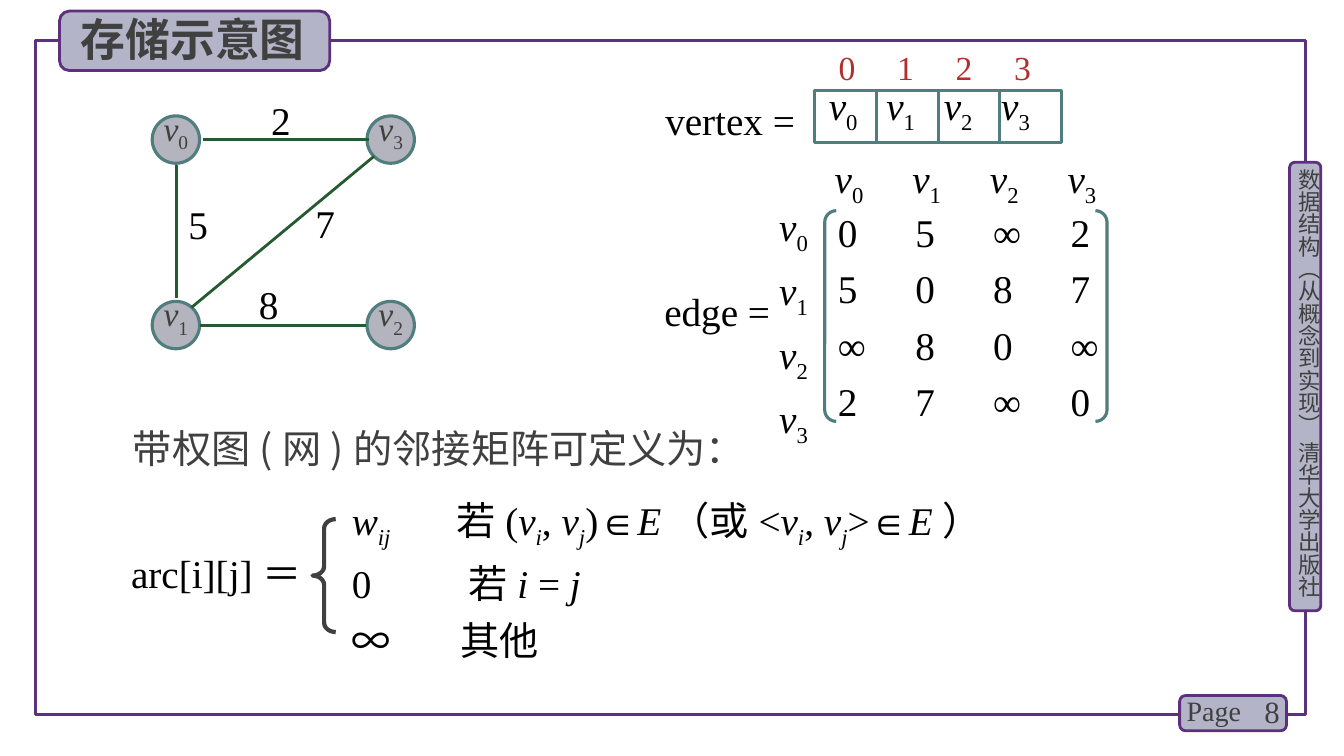
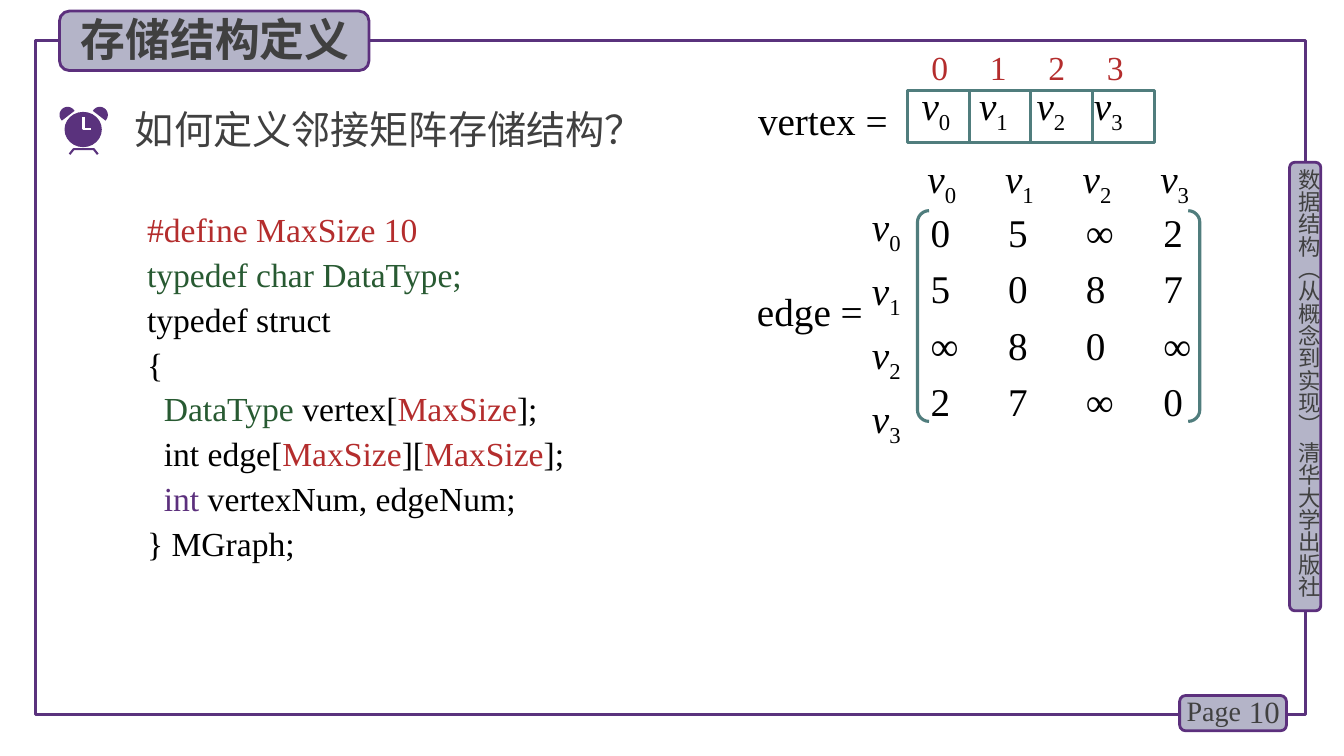
from dataclasses import dataclass
from math import cos, radians, sin
from typing import Optional, Sequence

from lxml.etree import SubElement
from pptx import Presentation
from pptx.dml.color import RGBColor
from pptx.enum.shapes import MSO_CONNECTOR, MSO_SHAPE as Preset
from pptx.enum.text import MSO_ANCHOR as Anchor, MSO_AUTO_SIZE as AutoSize, PP_ALIGN as Align
from pptx.oxml.ns import qn
from pptx.slide import Slide
from pptx.util import Inches, Pt

SERIF, SANS = "Times New Roman", "Noto Sans CJK SC"
BLACK, GRAY, WHITE, RED = "000000", "404040", "FFFFFF", "B42D2D"
GREEN, TEAL, PURPLE, FRAME = "285A32", "507D7D", "5C307D", "5A327D"
PLATE, NODE = "B4B4C8", "B4B4BE"
INSETS, NO_INSETS = (0.1, 0.05, 0.1, 0.05), (0, 0, 0, 0)


@dataclass(frozen=True)
class Run:
    text: str
    color: str = BLACK
    size: float = 28
    font: str = SERIF
    italic: bool = False
    subscript: bool = False
    bold: bool = False


@dataclass(frozen=True)
class Line:
    runs: Sequence[Run]
    tabs: Sequence[float] = ()
    spacing: Optional[float] = None
    align: Align = Align.LEFT


@dataclass(frozen=True)
class Box:
    left: float
    top: float
    width: float
    height: float

    def lengths(self) -> list:
        return [Inches(value) for value in (self.left, self.top, self.width, self.height)]


@dataclass(frozen=True)
class Edge:
    start: tuple
    end: tuple
    weight: str
    label: tuple


def rgb(color: str) -> RGBColor:
    return RGBColor.from_string(color)


def italic(text: str) -> Run:
    return Run(text, italic=True)


def index(text: str) -> Run:
    return Run(text, italic=True, subscript=True)


def vertex(number: int, lead: str = "", color: str = BLACK, size: float = 28) -> list:
    return [Run(f"{lead}v", color, size, italic=True),
            Run(str(number), color, size, subscript=True)]


def vertex_row(step: float, spacing: Optional[float] = None) -> Line:
    runs = [run for number in range(4) for run in vertex(number, "\t" if number else "")]
    return Line(runs, steps(step), spacing)


def steps(step: float) -> list:
    return [step * number for number in range(1, 4)]


def write(shape, lines: Sequence[Line], insets=INSETS, anchor=Anchor.TOP, wrap=True) -> None:
    frame = shape.text_frame
    frame.auto_size, frame.word_wrap, frame.vertical_anchor = AutoSize.NONE, wrap, anchor
    (frame.margin_left, frame.margin_top,
     frame.margin_right, frame.margin_bottom) = [Inches(value) for value in insets]
    for number, line in enumerate(lines):
        paragraph = frame.add_paragraph() if number else frame.paragraphs[0]
        if line.tabs:
            tab_list = SubElement(paragraph._p.get_or_add_pPr(), qn("a:tabLst"))
            for position in line.tabs:
                SubElement(tab_list, qn("a:tab"), pos=str(Inches(position)), algn="l")
        paragraph.alignment = line.align
        if line.spacing:
            paragraph.line_spacing = line.spacing
        for part in line.runs:
            run = paragraph.add_run()
            run.text = part.text
            font = run.font
            font.name, font.size, font.bold, font.italic = (
                part.font, Pt(part.size), part.bold, part.italic)
            font.color.rgb = rgb(part.color)
            properties = run._r.get_or_add_rPr()
            SubElement(properties, qn("a:ea"), typeface=SANS)
            if part.subscript:
                properties.set("baseline", "-25000")


def add_text(slide: Slide, box: Box, lines: Sequence[Line], **options):
    shape = slide.shapes.add_textbox(*box.lengths())
    write(shape, lines, **options)
    return shape


def paint(shape, fill: Optional[str], line: Optional[str], width: float) -> None:
    shape.shadow.inherit = False
    if fill:
        shape.fill.solid()
        shape.fill.fore_color.rgb = rgb(fill)
    else:
        shape.fill.background()
    if line:
        shape.line.color.rgb = rgb(line)
        shape.line.width = Pt(width)
    else:
        shape.line.fill.background()


def add_preset(slide: Slide, preset: Preset, box: Box, fill: Optional[str] = None,
               line: Optional[str] = None, width: float = 2.25):
    shape = slide.shapes.add_shape(preset, *box.lengths())
    paint(shape, fill, line, width)
    return shape


def add_outline(slide: Slide, points: Sequence[tuple], close: bool, fill: Optional[str] = None,
                line: Optional[str] = None, width: float = 1.5) -> None:
    corners = [(Inches(x), Inches(y)) for x, y in points]
    builder = slide.shapes.build_freeform(*corners[0])
    builder.add_line_segments(corners[1:], close=close)
    paint(builder.convert_to_shape(), fill, line, width)


def add_line(slide: Slide, start: tuple, end: tuple, color: str, width: float):
    connector = slide.shapes.add_connector(
        MSO_CONNECTOR.STRAIGHT, *[Inches(value) for value in (*start, *end)])
    connector.line.color.rgb = rgb(color)
    connector.line.width = Pt(width)
    SubElement(connector.element.spPr, qn("a:effectLst"))
    return connector


def add_plate(slide: Slide, box: Box) -> None:
    add_preset(slide, Preset.ROUNDED_RECTANGLE, box, PLATE, PURPLE, 2)


def start_slide(presentation, heading: str, plate_width: float, page: int) -> Slide:
    slide = presentation.slides.add_slide(presentation.slide_layouts[5])
    add_preset(slide, Preset.RECTANGLE, Box(0.35, 0.4, 12.6, 6.69), line=FRAME)
    add_plate(slide, Box(12.79, 1.61, 0.31, 4.45))
    banner = add_text(slide, Box(12.85, 1.67, 0.27, 4.49),
                      [Line([Run("数据结构（从概念到实现） 清华大学出版社", GRAY, 16, SANS)])],
                      insets=NO_INSETS)
    banner.element.txBody.bodyPr.set("vert", "eaVert")
    add_plate(slide, Box(11.7, 6.9, 1.06, 0.35))
    add_text(slide, Box(12.2, 6.86, 0.59, 0.4),
             [Line([Run(str(page), GRAY, 22)], align=Align.RIGHT)], anchor=Anchor.MIDDLE)
    add_text(slide, Box(11.67, 6.83, 0.78, 0.44), [Line([Run("Page", GRAY, 20)])])
    add_plate(slide, Box(0.59, 0.11, plate_width, 0.59))
    title = slide.shapes.title
    title.left, title.top, title.width, title.height = Box(0.7, 0.07, plate_width, 0.64).lengths()
    write(title, [Line([Run(heading, GRAY, 32, SANS, bold=True)])])
    slide.shapes.element.append(title.element)
    return slide


def add_storage(slide: Slide, left: float) -> None:
    top, width, height = 0.9, 2.45, 0.51
    array = add_preset(slide, Preset.RECTANGLE, Box(left, top, width, height), line=TEAL)
    write(array, [vertex_row(0.57, Pt(28))], insets=(0.14, 0.05, 0, 0.05))
    for number in range(1, 4):
        x = left + width * number / 4
        divider = add_line(slide, (x, top), (x, top + height), TEAL, 2.25)
        if number == 2:
            divider.begin_connect(array, 0)
            divider.end_connect(array, 2)
    add_text(slide, Box(left - 1.58, 0.91, 1.6, 0.57), [Line([Run("vertex =")])])
    add_text(slide, Box(left + 0.14, 0.42, 2.32, 0.5),
             [Line([Run("0\t1\t2\t3", RED, 24)], steps(0.58))])
    rows = ["0\t5\t∞\t2", "5\t0\t8\t7", "∞\t8\t0\t∞", "2\t7\t∞\t0"]
    add_text(slide, Box(left + 0.23, 1.96, 2.93, 2.24),
             [Line([Run(row)], steps(0.77), 1.2) for row in rows], insets=(0, 0.01, 0, 0.01))
    bracket = add_preset(slide, Preset.DOUBLE_BRACKET, Box(left + 0.1, 2.09, 2.8, 2.09), line=TEAL)
    bracket.adjustments[0] = 0.055
    add_text(slide, Box(left - 1.59, 2.8, 1.26, 0.57), [Line([Run("edge =")])], wrap=False)
    add_text(slide, Box(left + 0.1, 1.48, 3.06, 0.57), [vertex_row(0.77)])
    add_text(slide, Box(left - 0.45, 1.85, 0.66, 2.31),
             [Line(vertex(number), spacing=1.2) for number in range(4)])


def add_graph(slide: Slide) -> None:
    edges = [Edge((2.01, 1.38), (3.66, 1.38), "2", (2.59, 0.91)),
             Edge((1.75, 1.64), (1.75, 2.96), "5", (1.77, 1.94)),
             Edge((3.71, 1.55), (1.9, 3.05), "7", (3.03, 1.93)),
             Edge((1.98, 3.23), (3.63, 3.23), "8", (2.47, 2.73))]
    corners = [(1.51, 1.15), (1.51, 2.99), (3.64, 2.99), (3.64, 1.15)]
    for number, corner in enumerate(corners):
        node = add_preset(slide, Preset.OVAL, Box(*corner, 0.47, 0.47), NODE, TEAL)
        write(node, [Line(vertex(number, "", GRAY, 24), spacing=Pt(22), align=Align.CENTER)],
              insets=NO_INSETS)
    for edge in edges:
        add_line(slide, edge.start, edge.end, GREEN, 2)
        add_text(slide, Box(*edge.label, 0.66, 0.57), [Line([Run(edge.weight)])])


def add_definition(slide: Slide) -> None:
    add_text(slide, Box(1.22, 4.16, 8.25, 0.57),
             [Line([Run("带权图(网)的邻接矩阵可定义为：", GRAY, font=SANS)])])
    flush = (0, 0.05, 0, 0.05)
    add_text(slide, Box(1.3, 5.4, 1.83, 0.57),
             [Line([Run("arc[i][j]"), Run("＝", font=SANS)])], insets=flush)
    pair = [italic("v"), index("i"), Run(", "), italic("v"), index("j")]
    cases = [
        Line([italic("w"), index("ij"), Run("\t若("), *pair, Run(")∈"), italic("E"),
              Run("（或<"), *pair, Run(">∈"), italic("E"), Run("）")], [1.04], 1.2),
        Line([Run("0\t若"), italic("i "), Run("= "), italic("j")], [1.16], 1.2),
        Line([Run("∞\t其他")], [1.08], 1.2)]
    add_text(slide, Box(3.49, 4.77, 6.87, 1.75), cases, insets=flush)
    brace = add_preset(slide, Preset.LEFT_BRACE, Box(3.1, 5.15, 0.23, 1.12), line=GRAY, width=3)
    brace.adjustments[0] = 0.402


def add_clock(slide: Slide) -> None:
    bell = [(0.67 + 0.08 * cos(radians(angle)), 1.14 + 0.08 * sin(radians(angle)))
            for angle in range(135, 331, 15)]
    for points in (bell, [(1.66 - x, y) for x, y in bell]):
        add_outline(slide, points, True, FRAME)
    add_preset(slide, Preset.OVAL, Box(0.64, 1.11, 0.37, 0.35), FRAME)
    add_outline(slide, [(0.83, 1.16), (0.83, 1.28), (0.9, 1.28)], False, line=WHITE, width=2)
    add_outline(slide, [(0.69, 1.53), (0.73, 1.48), (0.93, 1.48), (0.97, 1.53)], False, line=FRAME)


def add_code(slide: Slide) -> None:
    size = Run("MaxSize", RED, 24)
    code = [
        [Run("#define MaxSize 10", RED, 24)],
        [Run("typedef char DataType;", GREEN, 24)],
        [Run("typedef struct", size=24)],
        [Run("{", size=24)],
        [Run("  DataType", GREEN, 24), Run(" vertex[", size=24), size, Run("];", size=24)],
        [Run("  int edge[", size=24), size, Run("][", size=24), size, Run("];", size=24)],
        [Run("  int ", PURPLE, 24), Run("vertexNum, edgeNum;", size=24)],
        [Run("} MGraph;", size=24)]]
    add_text(slide, Box(1.36, 1.98, 5.35, 3.66), [Line(runs, spacing=Pt(32)) for runs in code])


def main() -> None:
    presentation = Presentation()
    presentation.slide_width, presentation.slide_height = Inches(13.33), Inches(7.5)

    diagram = start_slide(presentation, "存储示意图", 2.68, 8)
    add_storage(diagram, 8.08)
    add_graph(diagram)
    add_definition(diagram)

    structure = start_slide(presentation, "存储结构定义", 3.07, 10)
    add_storage(structure, 9)
    add_clock(structure)
    add_text(structure, Box(1.24, 1, 6.06, 0.57),
             [Line([Run("如何定义邻接矩阵存储结构？", GRAY)])])
    add_code(structure)

    presentation.save("out.pptx")


if __name__ == "__main__":
    main()
